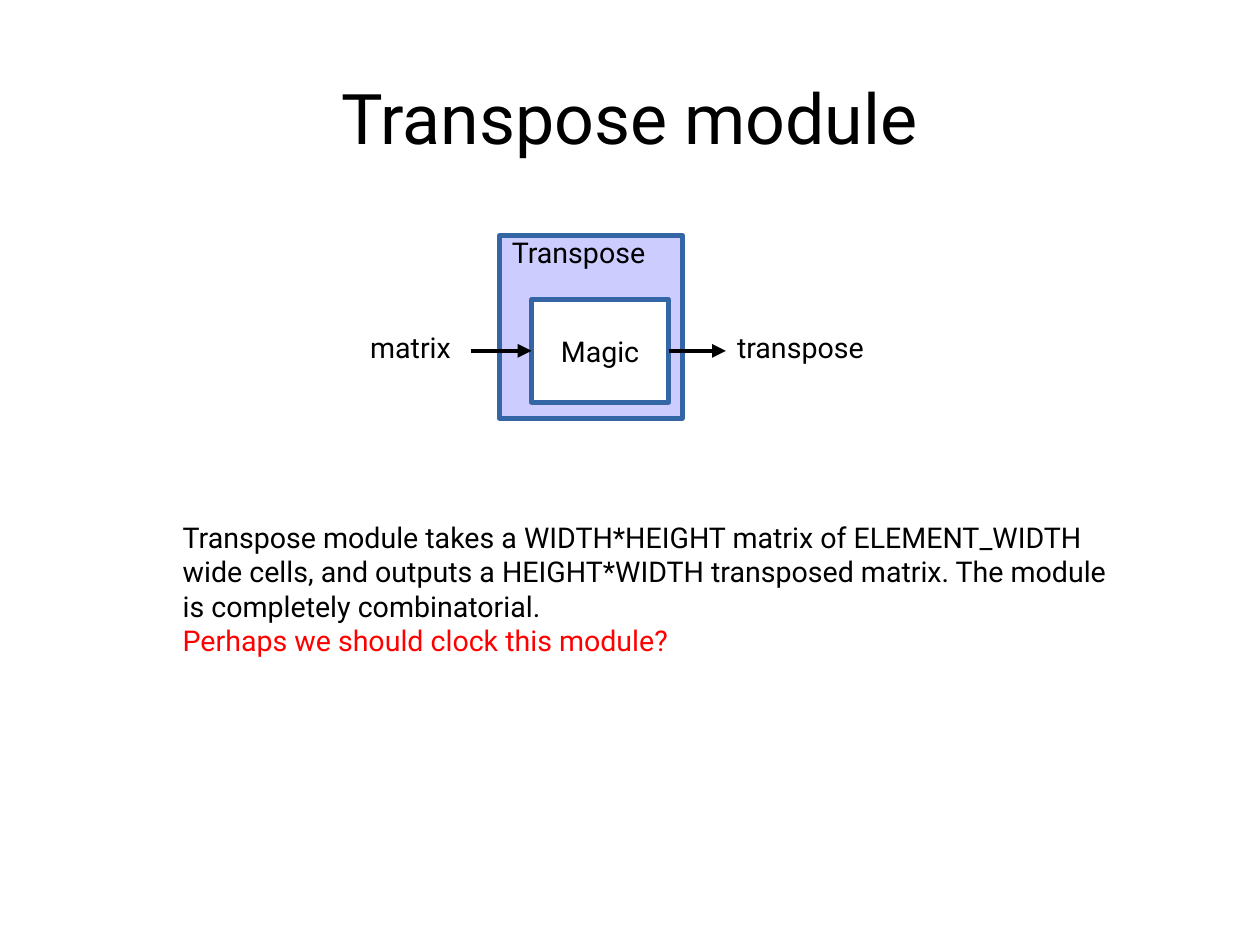
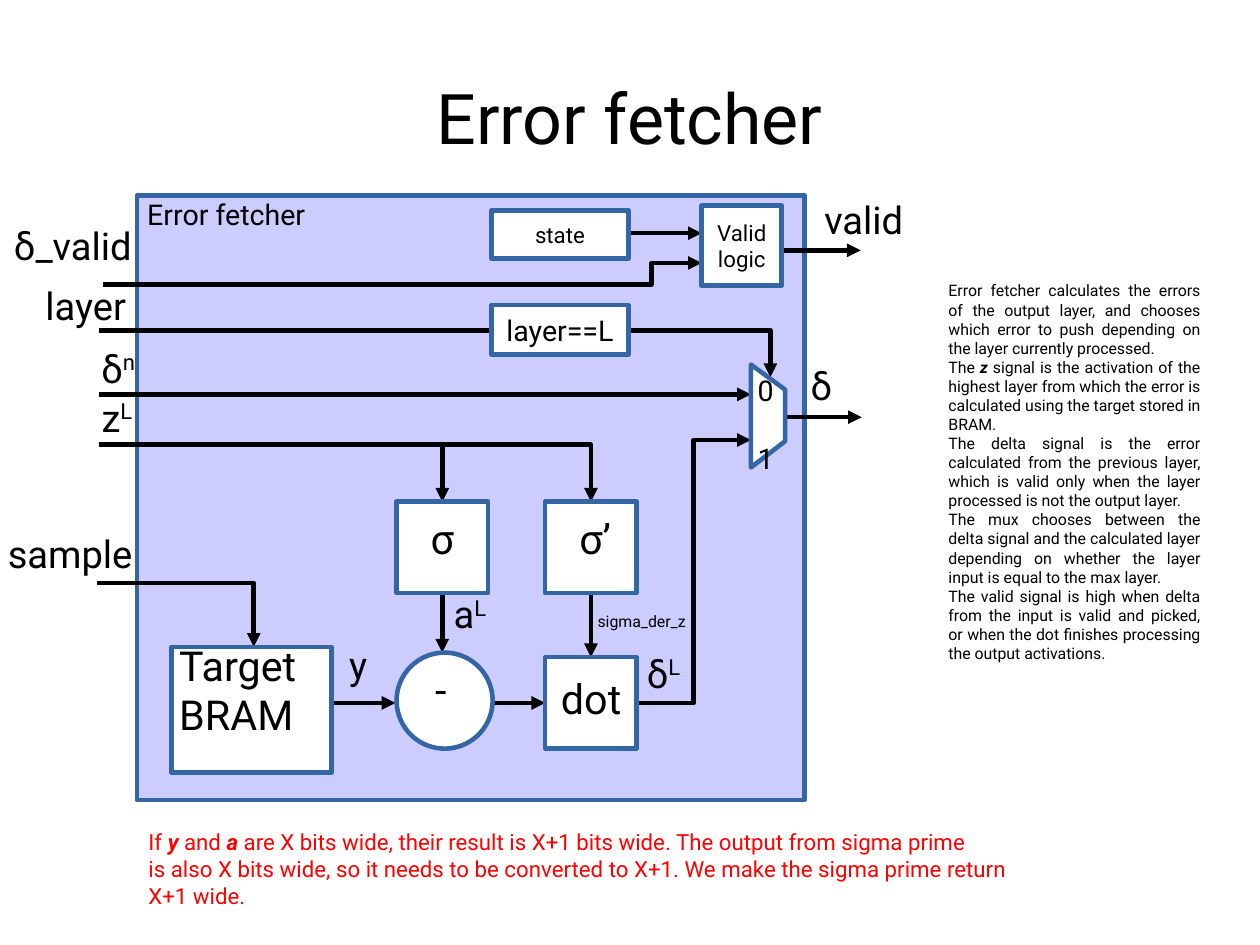
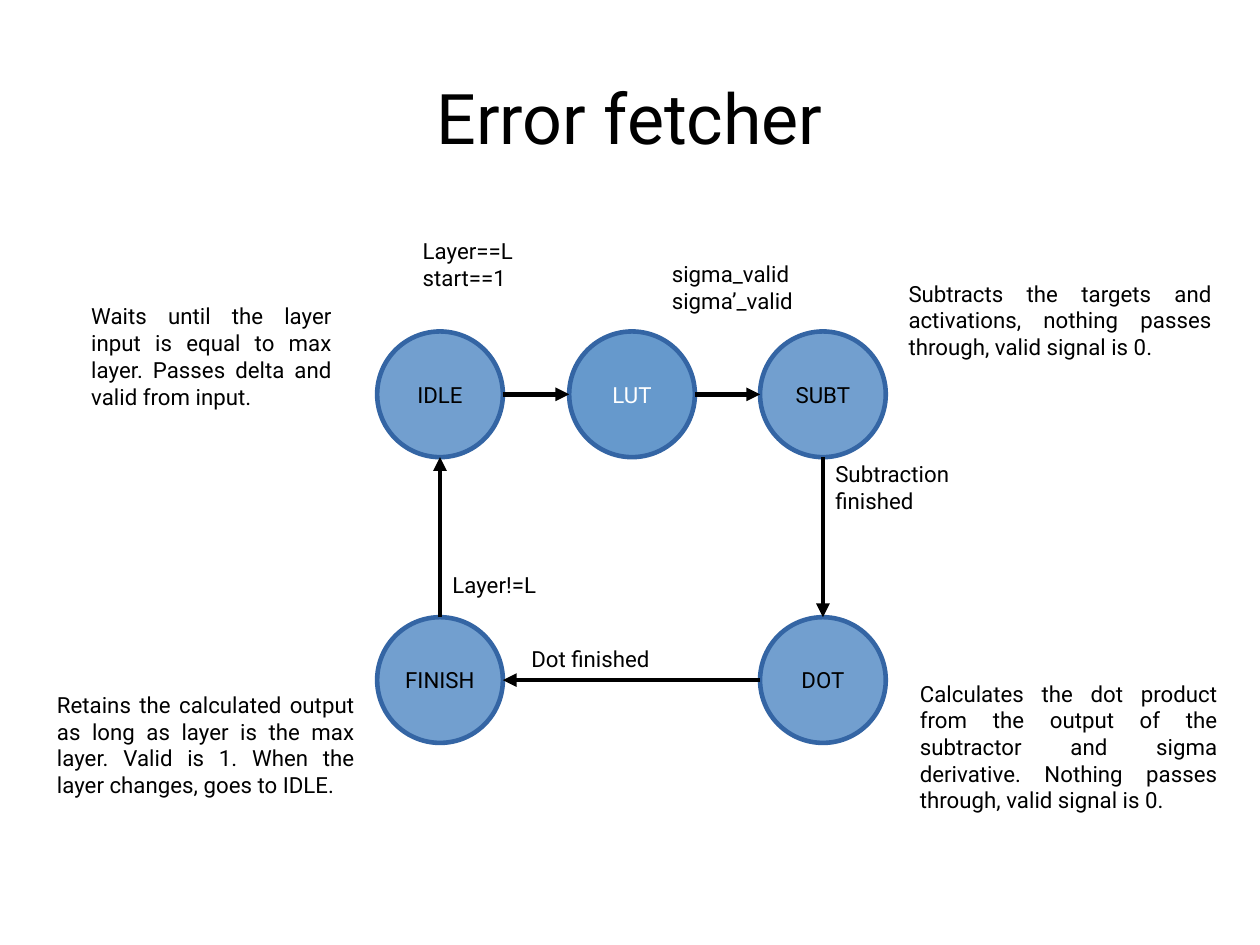
from dataclasses import dataclass
from functools import partial
from typing import NamedTuple

from lxml import etree
from pptx import Presentation
from pptx.dml.color import RGBColor
from pptx.enum import shapes, text
from pptx.oxml.ns import qn
from pptx.util import Inches, Pt

BLACK = RGBColor(0x00, 0x00, 0x00)
WHITE = RGBColor(0xFF, 0xFF, 0xFF)
RED = RGBColor(0xFF, 0x00, 0x00)
EDGE = RGBColor(0x34, 0x65, 0xA4)
LILAC = RGBColor(0xCC, 0xCC, 0xFF)
STATE = RGBColor(0x72, 0x9F, 0xCF)
LOOKUP = RGBColor(0x66, 0x99, 0xCC)

FONT = "Roboto"
STROKE = Pt(2.89)
CM = 1 / 2.54
LEFT, RIGHT = text.PP_ALIGN.LEFT, text.PP_ALIGN.RIGHT
CENTER, JUSTIFY = text.PP_ALIGN.CENTER, text.PP_ALIGN.JUSTIFY
RECT, OVAL = shapes.MSO_SHAPE.RECTANGLE, shapes.MSO_SHAPE.OVAL
Point = tuple[float, float]


class Run(NamedTuple):
    text: str
    strong: bool = False
    raised: bool = False
    color: RGBColor | None = None


Para = str | list[Run]


@dataclass
class Label:
    left: float
    top: float
    width: float
    height: float
    paras: list[Para]
    size: float = 18
    align: text.PP_ALIGN = LEFT
    color: RGBColor = BLACK
    gap: float = 0


@dataclass
class Box:
    left: float
    top: float
    width: float
    height: float
    paras: list[Para] | None = None
    size: float = 18
    kind: shapes.MSO_SHAPE = RECT
    fill: RGBColor = WHITE
    color: RGBColor = BLACK


Sign = partial(Label, size=24, gap=2.8)
Note = partial(Label, size=14, align=JUSTIFY)
Cue = partial(Label, size=14)


def write(frame, paras: list[Para], size: float, align, color: RGBColor,
          gap: float = 0) -> None:
    for i, para in enumerate(paras):
        line = frame.paragraphs[0] if i == 0 else frame.add_paragraph()
        looks = {"alignment": align, "space_before": Pt(gap),
                 "space_after": Pt(gap)}
        for name, value in looks.items():
            setattr(line, name, value)
        for part in [Run(para)] if isinstance(para, str) else para:
            run = line.add_run()
            run.text = part.text
            looks = {"name": FONT, "size": Pt(size), "bold": part.strong,
                     "italic": part.strong}
            for name, value in looks.items():
                setattr(run.font, name, value)
            run.font.color.rgb = part.color or color
            if part.raised:
                run._r.get_or_add_rPr().set("baseline", "33000")


def add_label(slide, label: Label):
    area = (label.left, label.top, label.width, label.height)
    frame = slide.shapes.add_textbox(*map(Inches, area)).text_frame
    frame.word_wrap = True
    write(frame, label.paras, label.size, label.align, label.color, label.gap)
    return frame


def add_title(slide, title: str) -> None:
    frame = add_label(slide, Label(0.55, 0.33, 9.92, 1.38, [title], 44, CENTER))
    frame.vertical_anchor = text.MSO_ANCHOR.MIDDLE
    for side in ("left", "top", "right", "bottom"):
        setattr(frame, f"margin_{side}", 0)


def paint(shape, fill: RGBColor) -> None:
    shape.shadow.inherit = False
    shape.fill.solid()
    shape.fill.fore_color.rgb = fill
    shape.line.color.rgb = EDGE
    shape.line.width = STROKE


def add_box(slide, box: Box) -> None:
    area = (box.left, box.top, box.width, box.height)
    shape = slide.shapes.add_shape(box.kind, *map(Inches, area))
    paint(shape, box.fill)
    if box.paras:
        shape.text_frame.word_wrap = False
        write(shape.text_frame, box.paras, box.size, CENTER, box.color)


def trace(slide, points: list[Point], close: bool = False):
    """Draw an outline through points given in inches."""
    start, *rest = [(Inches(x), Inches(y)) for x, y in points]
    pen = slide.shapes.build_freeform(*start)
    pen.add_line_segments(rest, close=close)
    return pen.convert_to_shape()


def add_wire(slide, points: list[Point]) -> None:
    """Draw an arrow: a connector if straight, an open outline if bent."""
    straight = len(points) == 2
    if straight:
        ends = [Inches(n) for point in points for n in point]
        wire = slide.shapes.add_connector(shapes.MSO_CONNECTOR.STRAIGHT, *ends)
    else:
        wire = trace(slide, points)
        wire.fill.background()
        wire.shadow.inherit = False
    wire.line.color.rgb = BLACK
    wire.line.width = STROKE
    props = wire.element.spPr
    etree.SubElement(props.find(qn("a:ln")), qn("a:tailEnd"), type="triangle")
    if straight:
        etree.SubElement(props, qn("a:effectLst"))


def power(base: str, top: str) -> list[Para]:
    return [[Run(base), Run(top, raised=True)]]


def draw_transpose(slide) -> None:
    add_box(slide, Box(4.37, 2.06, 1.6, 1.6, fill=LILAC))
    add_title(slide, "Transpose module")
    add_box(slide, Box(4.65, 2.62, 1.2, 0.9, ["Magic"]))
    for start, end in ((4.12, 4.65), (5.85, 6.35)):
        add_wire(slide, [(start, 3.07), (end, 3.07)])
    for label in (
        Label(3.14, 2.84, 1, 0.47, ["matrix"]),
        Label(6.35, 2.84, 1.4, 0.47, ["transpose"]),
        Label(4.38, 2.01, 1.5, 0.47, ["Transpose"]),
        Label(1.5, 4.5, 8.3, 2.9, [
            "Transpose module takes a WIDTH*HEIGHT matrix of ELEMENT_WIDTH "
            "wide cells, and outputs a HEIGHT*WIDTH transposed matrix. The "
            "module is completely combinatorial.",
            [Run("Perhaps we should clock this module?", color=RED)]]),
    ):
        add_label(slide, label)


def draw_fetcher(slide) -> None:
    add_box(slide, Box(1.2, 1.71, 5.84, 5.29, fill=LILAC))
    add_title(slide, "Error fetcher")
    sigma, prime, mid = 3.87, 5.17, 6.15
    for points in (
        [(4.27, mid), (4.77, mid)],
        [(2.9, mid), (3.46, mid)],
        [(sigma, 5.15), (sigma, 5.71)],
        [(prime, 5.15), (prime, 5.75)],
        [(0.87, 3.89), (prime, 3.89), (prime, 4.39)],
        [(sigma, 3.89), (sigma, 4.39)],
        [(5.57, mid), (6.07, mid), (6.07, 3.85), (6.57, 3.85)],
        [(0.87, 3.45), (6.57, 3.45)],
        [(6.87, 3.65), (7.54, 3.65)],
        [(0.87, 2.89), (6.74, 2.89), (6.74, 3.3)],
        [(6.86, 2.19), (7.53, 2.19)],
        [(0.85, 5.1), (2.22, 5.1), (2.22, 5.66)],
        [(0.9, 2.49), (5.7, 2.49), (5.7, 2.3), (6.14, 2.3)],
        [(5.52, 2.04), (6.14, 2.04)],
    ):
        add_wire(slide, points)

    for box in (
        Box(4.77, 5.75, 0.8, 0.8),
        Box(3.47, 5.71, 0.84, 0.84, kind=OVAL),
        Box(1.5, 5.66, 1.4, 1.1),
        Box(3.47, 4.39, 0.8, 0.8),
        Box(4.77, 4.39, 0.8, 0.8),
        Box(4.3, 2.67, 1.2, 0.43, ["layer==L"]),
        Box(4.3, 1.84, 1.2, 0.42, ["state"], 14),
        Box(6.14, 1.8, 0.7, 0.7, ["Valid", "logic"], 14),
    ):
        add_box(slide, box)
    mux = [(6.57, 4.09), (6.57, 3.19), (6.87, 3.41), (6.87, 3.86)]
    paint(trace(slide, mux, close=True), WHITE)

    for label in (
        Label(1.19, 1.67, 1.8, 0.47, ["Error fetcher"]),
        Label(6.53, 3.21, 0.4, 0.47, ["0"]),
        Label(6.53, 3.81, 0.4, 0.47, ["1"]),
        Label(4.81, 5.84, 1.6, 0.63, ["dot"], 26),
        Label(1.47, 5.55, 1.6, 1.1, ["Target", "BRAM"], 26),
        Label(3.71, 5.76, 0.5, 0.63, ["-"], 26),
        Label(3.67, 4.44, 0.5, 0.63, ["σ"], 26),
        Label(4.97, 4.44, 0.6, 0.63, ["σ’"], 26),
        Sign(1.93, 5.56, 1.38, 0.59, ["y"], align=RIGHT),
        Sign(0.79, 3.4, 0.71, 0.59, power("z", "L")),
        Sign(3.87, 5.12, 0.71, 0.59, power("a", "L")),
        Sign(0.58, 2.97, 0.7, 0.59, power("δ", "n"), align=RIGHT),
        Sign(5.35, 5.64, 0.7, 0.59, power("δ", "L"), align=RIGHT),
        Sign(6.68, 3.12, 0.7, 0.59, ["δ"], align=RIGHT),
        Sign(0, 2.42, 1.2, 0.59, ["layer"], align=RIGHT),
        Sign(6.68, 1.67, 1.32, 0.59, ["valid"], align=RIGHT),
        Sign(-0.03, 4.59, 1.33, 0.59, ["sample"]),
        Sign(0, 1.9, 1.25, 0.59, ["δ_valid"], align=RIGHT),
        Sign(5.13, 5.3, 1.13, 0.4, ["sigma_der_z"], size=10),
        Note(8.2, 2.41, 2.4, 4.69, [
            "Error fetcher calculates the errors of the output layer, and "
            "chooses which error to push depending on the layer currently "
            "processed.",
            [Run("The "), Run("z ", strong=True),
             Run("signal is the activation of the highest layer from which "
                 "the error is calculated using the target stored in BRAM.")],
            "The delta signal is the error calculated from the previous "
            "layer, which is valid only when the layer processed is not the "
            "output layer.",
            "The mux chooses between the delta signal and the calculated "
            "layer depending on whether the layer input is equal to the max "
            "layer.",
            "The valid signal is high when delta from the input is valid and "
            "picked, or when the dot finishes processing the output "
            "activations."], size=10),
        Cue(1.2, 7.2, 8.08, 0.97, [
            [Run("If "), Run("y ", strong=True), Run("and"),
             Run(" a", strong=True),
             Run(" are X bits wide, their result is X+1 bits wide. "
                 "The output from sigma prime")],
            "is also X bits wide, so it needs to be converted to X+1. "
            "We make the sigma prime return",
            "X+1 wide."], color=RED),
    ):
        add_label(slide, label)


def draw_states(slide) -> None:
    add_title(slide, "Error fetcher")
    side, upper, lower = 1.1, 2.9, 5.4
    first, second, third = 3.3, 4.98, 6.65
    half = side / 2
    State = partial(Box, width=side, height=side, size=14, kind=OVAL,
                    fill=STATE)
    for box in (
        State(first, upper, paras=["IDLE"]),
        State(second, upper, paras=["LUT"], fill=LOOKUP, color=WHITE),
        State(third, upper, paras=["SUBT"]),
        State(third, lower, paras=["DOT"]),
        State(first, lower, paras=["FINISH"]),
    ):
        add_box(slide, box)
    for points in (
        [(first + side, upper + half), (second, upper + half)],
        [(second + side, upper + half), (third, upper + half)],
        [(third + half, upper + side), (third + half, lower)],
        [(third, lower + half), (first + side, lower + half)],
        [(first + half, lower), (first + half, upper + side)],
    ):
        add_wire(slide, points)
    for label in (
        Cue(3.6, 2.03, 1.8, 0.67, ["Layer==L", "start==1"]),
        Cue(5.78, 2.23, 1.4, 0.67, ["sigma_valid", "sigma’_valid"]),
        Cue(7.21, 3.98, 1.4, 0.67, ["Subtraction", "finished"]),
        Cue(4.55, 5.6, 1.4, 0.39, ["Dot finished"]),
        Cue(3.86, 4.95, 1.1, 0.39, ["Layer!=L"]),
        Note(0.7, 2.6, 2.3, 1.6, [
            "Waits until the layer input is equal to max layer. Passes delta "
            "and valid from input."]),
        Note(7.85, 2.4, 2.85, 1.6, [
            "Subtracts the targets and activations, nothing passes through, "
            "valid signal is 0."]),
        Note(7.95, 5.9, 2.8, 1.6, [
            "Calculates the dot product from the output of the subtractor "
            "and sigma derivative. Nothing passes through, valid signal "
            "is 0."]),
        Note(0.4, 6, 2.8, 1.6, [
            "Retains the calculated output as long as layer is the max "
            "layer. Valid is 1. When the layer changes, goes to IDLE."]),
    ):
        add_label(slide, label)


def main() -> None:
    deck = Presentation()
    deck.slide_width, deck.slide_height = Inches(28 * CM), Inches(21 * CM)
    blank = deck.slide_layouts[6]
    for draw in (draw_transpose, draw_fetcher, draw_states):
        draw(deck.slides.add_slide(blank))
    deck.save("out.pptx")


if __name__ == "__main__":
    main()
